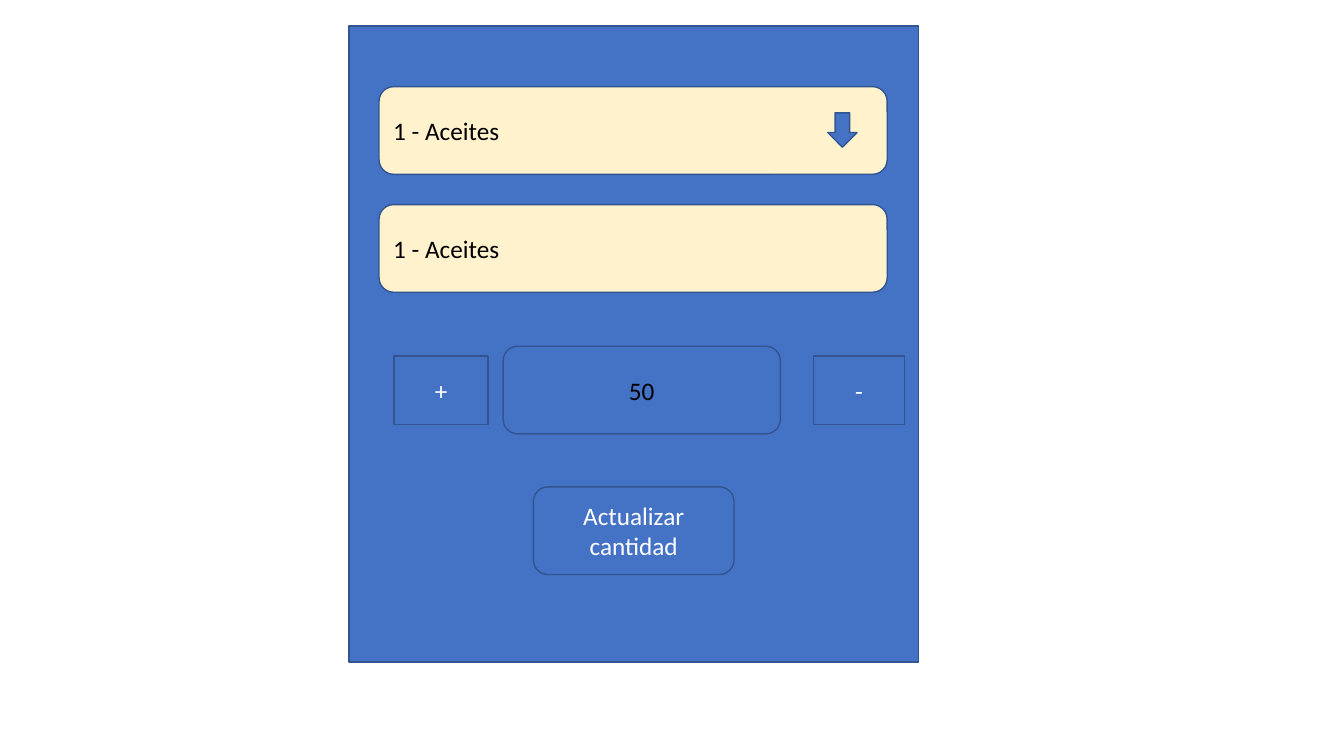
from pptx import Presentation
from pptx.dml.color import RGBColor
from pptx.enum.shapes import MSO_SHAPE as Shape
from pptx.enum.text import MSO_ANCHOR as Anchor, PP_ALIGN as Align
from pptx.util import Inches, Pt

BLUE = RGBColor(0x44, 0x72, 0xC4)
OUTLINE = RGBColor(0x32, 0x54, 0x91)
CREAM = RGBColor(0xFF, 0xF2, 0xCC)
BLACK = RGBColor(0, 0, 0)
WHITE = RGBColor(0xFF, 0xFF, 0xFF)

FONT = "Calibri"
BLANK_LAYOUT = 6

# Form grid, in inches
FIELD_LEFT, FIELD_WIDTH, FIELD_HEIGHT = 3.76, 5.04, 0.87
FIRST_FIELD_TOP, FIELD_STEP = 0.86, 1.17
QUANTITY_MIDDLE = 3.87
STEP_BUTTON_HEIGHT = 0.68


def add_block(slide, kind, left, top, width, height, fill=BLUE):
    """Add a filled, outlined preset shape."""
    block = slide.shapes.add_shape(
        kind, Inches(left), Inches(top), Inches(width), Inches(height))
    block.shadow.inherit = False
    block.fill.solid()
    block.fill.fore_color.rgb = fill
    block.line.color.rgb = OUTLINE
    block.line.width = Pt(1)
    return block


def add_label(block, text, color, align=Align.CENTER):
    """Write one line of text, vertically centred, in a shape."""
    frame = block.text_frame
    frame.word_wrap = True
    frame.vertical_anchor = Anchor.MIDDLE
    para = frame.paragraphs[0]
    para.alignment = align
    span = para.add_run()
    span.text = text
    span.font.name = FONT
    span.font.size = Pt(18)
    span.font.color.rgb = color


def add_field(slide, row, text):
    """Add a wide cream field on the given form row."""
    top = FIRST_FIELD_TOP + row * FIELD_STEP
    field = add_block(slide, Shape.ROUNDED_RECTANGLE, FIELD_LEFT, top,
                      FIELD_WIDTH, FIELD_HEIGHT, CREAM)
    add_label(field, text, BLACK, Align.LEFT)


def add_rounded(slide, left, top, width, text, color):
    """Add a blue rounded box of field height."""
    box = add_block(slide, Shape.ROUNDED_RECTANGLE, left, top, width, FIELD_HEIGHT)
    add_label(box, text, color)


def add_step_button(slide, left, width, sign):
    """Add a plus or minus button centred on the quantity row."""
    top = QUANTITY_MIDDLE - STEP_BUTTON_HEIGHT / 2
    button = add_block(slide, Shape.RECTANGLE, left, top, width, STEP_BUTTON_HEIGHT)
    add_label(button, sign, WHITE)


def main():
    deck = Presentation()
    deck.slide_width, deck.slide_height = Inches(13.33), Inches(7.5)
    slide = deck.slides.add_slide(deck.slide_layouts[BLANK_LAYOUT])

    # Form panel
    add_block(slide, Shape.RECTANGLE, 3.46, 0.26, 5.65, 6.31)

    # Drop-down and selected product
    for row in range(2):
        add_field(slide, row, "1 - Aceites")
    add_block(slide, Shape.DOWN_ARROW, 8.21, 1.12, 0.29, 0.34)

    # Quantity row
    add_rounded(slide, 4.99, QUANTITY_MIDDLE - FIELD_HEIGHT / 2, 2.75, "50", BLACK)
    add_step_button(slide, 3.91, 0.93, "+")
    add_step_button(slide, 8.07, 0.9, "-")

    # Update button
    add_rounded(slide, 5.29, 4.83, 1.99, "Actualizar cantidad", WHITE)

    deck.save("out.pptx")


if __name__ == "__main__":
    main()
